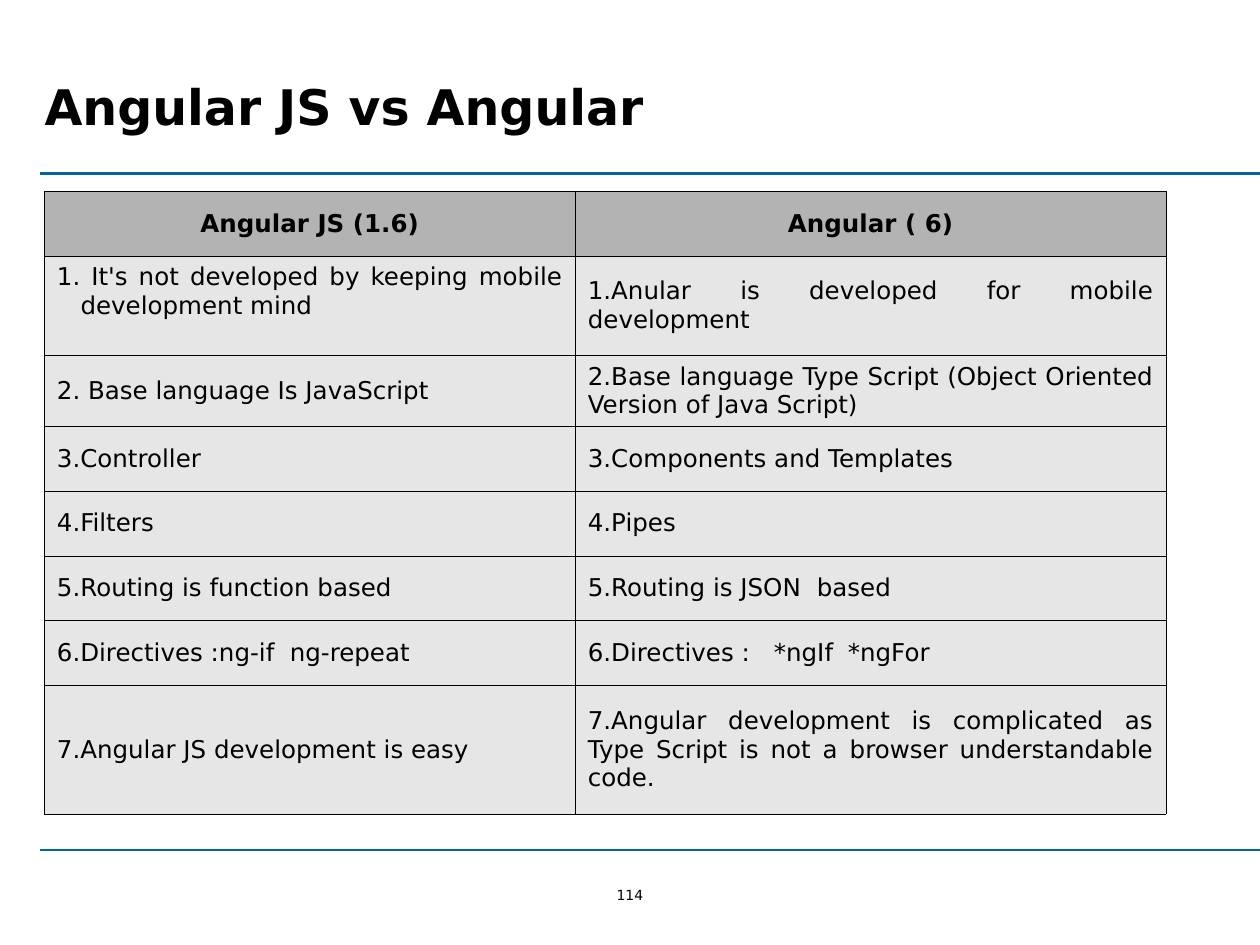
from pptx import Presentation
from pptx.dml.color import RGBColor
from pptx.enum.shapes import MSO_CONNECTOR
from pptx.enum.text import MSO_ANCHOR, PP_ALIGN
from pptx.oxml.ns import qn
from pptx.util import Pt
from lxml.etree import SubElement

BLACK = RGBColor(0, 0, 0)
BLUE = RGBColor(0x00, 0x66, 0xA1)
HEAD = RGBColor(0xB3, 0xB3, 0xB3)
BODY = RGBColor(0xE6, 0xE6, 0xE6)
FONT = "DejaVu Sans"

ROWS = [
    ("Angular JS (1.6)", "Angular ( 6)"),
    ("1. It's not developed by keeping mobile development mind",
     "1.Anular is developed for mobile development"),
    ("2. Base language Is JavaScript",
     "2.Base language Type Script (Object Oriented Version of Java Script)"),
    ("3.Controller", "3.Components and Templates"),
    ("4.Filters", "4.Pipes"),
    ("5.Routing is function based", "5.Routing is JSON\tbased"),
    ("6.Directives :ng-if\tng-repeat", "6.Directives :\t*ngIf\t*ngFor"),
    ("7.Angular JS development is easy",
     "7.Angular development is complicated as Type Script is not a "
     "browser understandable code."),
]
WIDTHS = [303.4, 337.6]
HEIGHTS = [36.9, 56.6, 40] + [36.9] * 4 + [74]
TABS = {(5, 1): [130.9], (6, 0): [133.1], (6, 1): [106.3, 148.6]}


def add_run(para, text, size, bold=False):
    run = para.add_run()
    run.text = text
    font = run.font
    font.name, font.size, font.bold = FONT, Pt(size), bold
    font.color.rgb = BLACK


def add_title(slide, text):
    title = slide.shapes.title
    title.left, title.top = Pt(25.5), Pt(43.5)
    title.width, title.height = Pt(683), Pt(34)
    clear_frame(title.text_frame)
    para = title.text_frame.paragraphs[0]
    para.alignment = PP_ALIGN.LEFT
    add_run(para, text, 28, True)


def clear_frame(frame):
    frame.margin_left = frame.margin_right = 0
    frame.margin_top = frame.margin_bottom = 0
    frame.vertical_anchor = MSO_ANCHOR.MIDDLE
    frame.word_wrap = True


def add_rule(slide, top):
    rule = slide.shapes.add_connector(
        MSO_CONNECTOR.STRAIGHT, Pt(23), Pt(top), Pt(720), Pt(top))
    rule.line.color.rgb = BLUE
    rule.line.width = Pt(1.25)
    SubElement(rule._element.spPr, qn("a:effectLst"))


def add_number(slide, text):
    box = slide.shapes.add_textbox(Pt(340), Pt(506), Pt(40), Pt(11))
    clear_frame(box.text_frame)
    para = box.text_frame.paragraphs[0]
    para.alignment = PP_ALIGN.CENTER
    add_run(para, text, 8)


def add_tabs(para, stops):
    tabs = SubElement(para._p.get_or_add_pPr(), qn("a:tabLst"))
    for stop in stops:
        SubElement(tabs, qn("a:tab"), pos=str(int(Pt(stop))), algn="l")


def set_border(cell):
    props = cell._tc.get_or_add_tcPr()
    for index, side in enumerate(("lnL", "lnR", "lnT", "lnB")):
        line = props.makeelement(qn("a:" + side), {"w": str(int(Pt(0.25)))})
        fill = SubElement(line, qn("a:solidFill"))
        SubElement(fill, qn("a:srgbClr"), val=str(BLACK))
        props.insert(index, line)


def fill_cell(cell, text, head, stops):
    cell.fill.solid()
    cell.fill.fore_color.rgb = HEAD if head else BODY
    set_border(cell)
    cell.vertical_anchor = MSO_ANCHOR.MIDDLE
    para = cell.text_frame.paragraphs[0]
    para.alignment = PP_ALIGN.CENTER if head else PP_ALIGN.JUSTIFY
    if stops:
        add_tabs(para, stops)
    add_run(para, text, 14, head)


def add_grid(slide):
    table = slide.shapes.add_table(
        len(ROWS), len(WIDTHS), Pt(25.3), Pt(109.5),
        Pt(sum(WIDTHS)), Pt(sum(HEIGHTS))).table
    for col, width in zip(table.columns, WIDTHS):
        col.width = Pt(width)
    for row, height in zip(table.rows, HEIGHTS):
        row.height = Pt(height)
    for r, texts in enumerate(ROWS):
        for c, text in enumerate(texts):
            fill_cell(table.cell(r, c), text, r == 0, TABS.get((r, c)))
    first = table.cell(1, 0)
    first.vertical_anchor = MSO_ANCHOR.TOP
    props = first.text_frame.paragraphs[0]._p.get_or_add_pPr()
    props.set("marL", str(int(Pt(13.5))))
    props.set("indent", str(int(Pt(-13.5))))


def main():
    deck = Presentation()
    deck.slide_width, deck.slide_height = Pt(720), Pt(540)
    slide = deck.slides.add_slide(deck.slide_layouts[5])
    for top in (99.2, 485.6):
        add_rule(slide, top)
    add_number(slide, "114")
    add_title(slide, "Angular JS vs Angular")
    add_grid(slide)
    deck.save("out.pptx")


if __name__ == "__main__":
    main()
